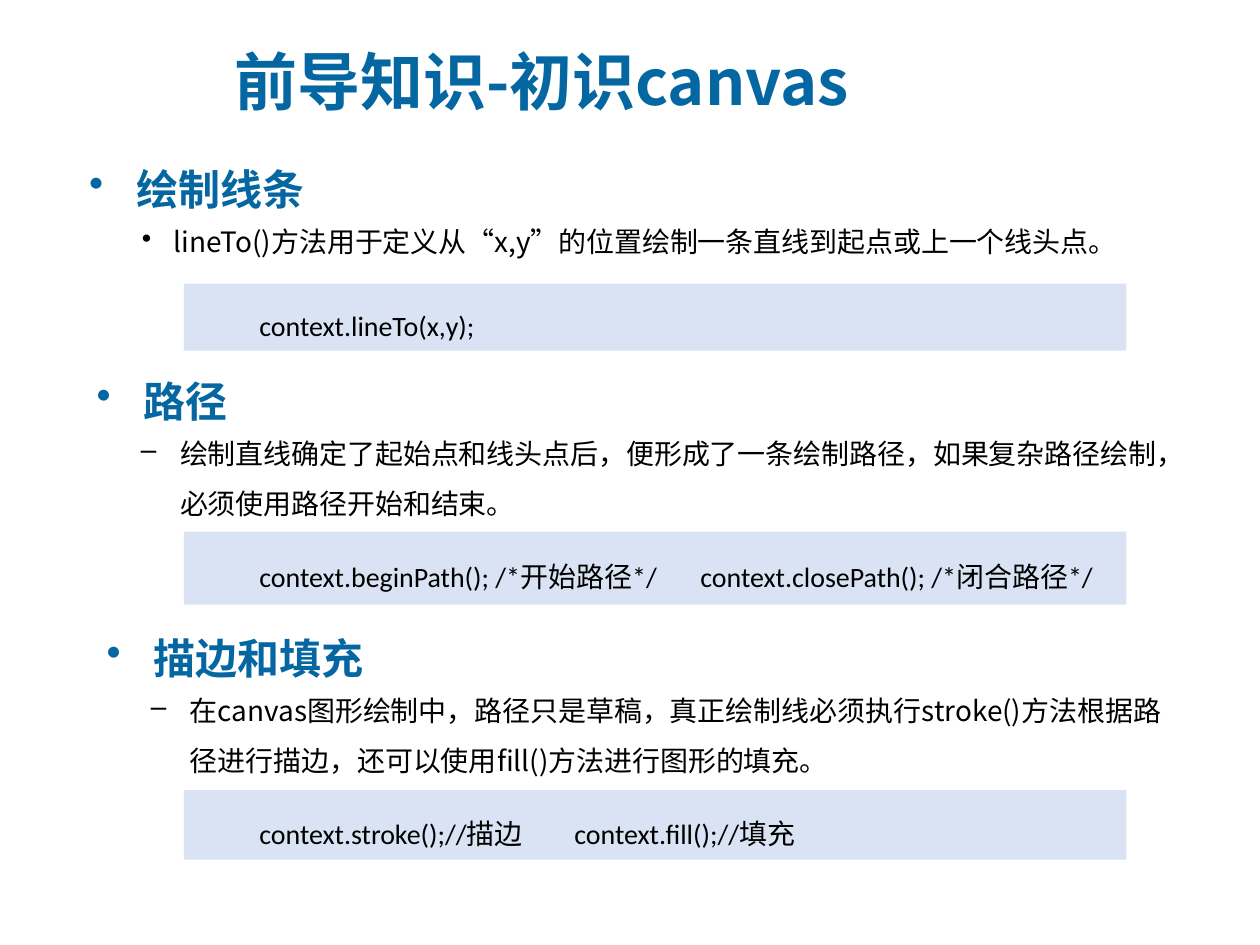
from collections import namedtuple

from lxml.etree import SubElement
from pptx import Presentation
from pptx.dml.color import RGBColor
from pptx.enum.shapes import MSO_SHAPE as Shape
from pptx.enum.text import MSO_ANCHOR as Anchor, MSO_AUTO_SIZE as AutoSize, PP_ALIGN as Align
from pptx.oxml.ns import qn
from pptx.util import Cm, Pt

Box = namedtuple("Box", "left top width height")
Section = namedtuple("Section", "box heading heading_dx heading_width bullet margin hanging body code_dx code_dy code tab")

CJK = "Noto Sans CJK SC"
LATIN = "Calibri"
BLUE, BLACK, PALE = "0567A2", "000000", "DAE3F3"

SECTIONS = [
    Section(Box(1.35, 2.67, 21.97, 4.4), "绘制线条", 0.2, 4.9, "•", 1.9, 0.64,
            "lineTo()方法用于定义从“x,y”的位置绘制一条直线到起点或上一个线头点。",
            2.36, 3.05, ["context.lineTo(x,y);"], None),
    Section(Box(1.32, 6.93, 22.38, 5.26), "路径", 0.38, 3.2, "–", 2.06, 0.79,
            "绘制直线确定了起始点和线头点后，便形成了一条绘制路径，如果复杂路径绘制，必须使用路径开始和结束。",
            2.39, 3.79, ["context.beginPath(); /*开始路径*/", "context.closePath(); /*闭合路径*/"], 9.9),
    Section(Box(1.52, 12.12, 22.38, 5.21), "描边和填充", 0.38, 5.77, "–", 2.06, 0.79,
            "在canvas图形绘制中，路径只是草稿，真正绘制线必须执行stroke()方法根据路径进行描边，还可以使用fill()方法进行图形的填充。",
            2.19, 3.81, ["context.stroke();//描边", "context.fill();//填充"], 7.6),
]


def color(value):
    return RGBColor.from_string(value)


def place(box):
    return [Cm(length) for length in box]


def write(paragraph, text, size, font, tint, bold=False, margin=0, indent=0,
          spacing=1.5, bullet=None, tab=None):
    properties = paragraph._p.get_or_add_pPr()
    properties.set("marL", str(Cm(margin)))
    properties.set("indent", str(Cm(indent)))
    if bullet:
        SubElement(properties, qn("a:buChar"), char=bullet)
    if tab:
        stops = SubElement(properties, qn("a:tabLst"))
        SubElement(stops, qn("a:tab"), pos=str(Cm(tab)), algn="l")
    paragraph.alignment = Align.LEFT
    paragraph.line_spacing = spacing
    paragraph.space_before = Pt(0)
    run = paragraph.add_run()
    run.text = text
    run.font.size = Pt(size)
    run.font.bold = bold
    run.font.name = font
    run.font.color.rgb = color(tint)
    SubElement(run._r.get_or_add_rPr(), qn("a:ea"), typeface=CJK)


def add_text(slide, box, text, size, font, tint, wrap=True, anchor=Anchor.TOP, **style):
    frame = slide.shapes.add_textbox(*place(box)).text_frame
    frame.word_wrap = wrap
    frame.auto_size = AutoSize.NONE if wrap else AutoSize.SHAPE_TO_FIT_TEXT
    frame.vertical_anchor = anchor
    write(frame.paragraphs[0], text, size, font, tint, **style)


def add_title(slide, box):
    add_text(slide, box, "前导知识-初识canvas", 36, CJK, BLUE, anchor=Anchor.MIDDLE,
             bold=True, margin=1.57, indent=-1.57, spacing=1)


def add_code(slide, box, statements, tab):
    panel = slide.shapes.add_shape(Shape.RECTANGLE, *place(box))
    panel.shadow.inherit = False
    panel.fill.solid()
    panel.fill.fore_color.rgb = color(PALE)
    panel.line.fill.background()
    frame = panel.text_frame
    frame.word_wrap = True
    frame.vertical_anchor = Anchor.MIDDLE
    write(frame.paragraphs[0], "\t".join(statements), 16, LATIN, BLACK, indent=1.27, tab=tab)


def add_section(slide, section):
    left, top, width, height = section.box
    add_text(slide, Box(left + section.heading_dx, top, section.heading_width, 1.63),
             section.heading, 24, LATIN, BLUE, wrap=False, bold=True,
             margin=0.95, indent=-0.95, bullet="•")
    add_text(slide, Box(left, top + 1.4, width, 4), section.body, 16, CJK, BLACK,
             margin=section.margin, indent=-section.hanging, bullet=section.bullet)
    code_box = Box(left + section.code_dx, top + section.code_dy, 19, height - section.code_dy)
    add_code(slide, code_box, section.code, section.tab)


def main():
    deck = Presentation()
    deck.slide_width, deck.slide_height = Cm(25.4), Cm(19.05)
    slide = deck.slides.add_slide(deck.slide_layouts[6])
    add_title(slide, Box(4.47, 0.56, 21.03, 2.13))
    for section in SECTIONS:
        add_section(slide, section)
    deck.save("out.pptx")


if __name__ == "__main__":
    main()
